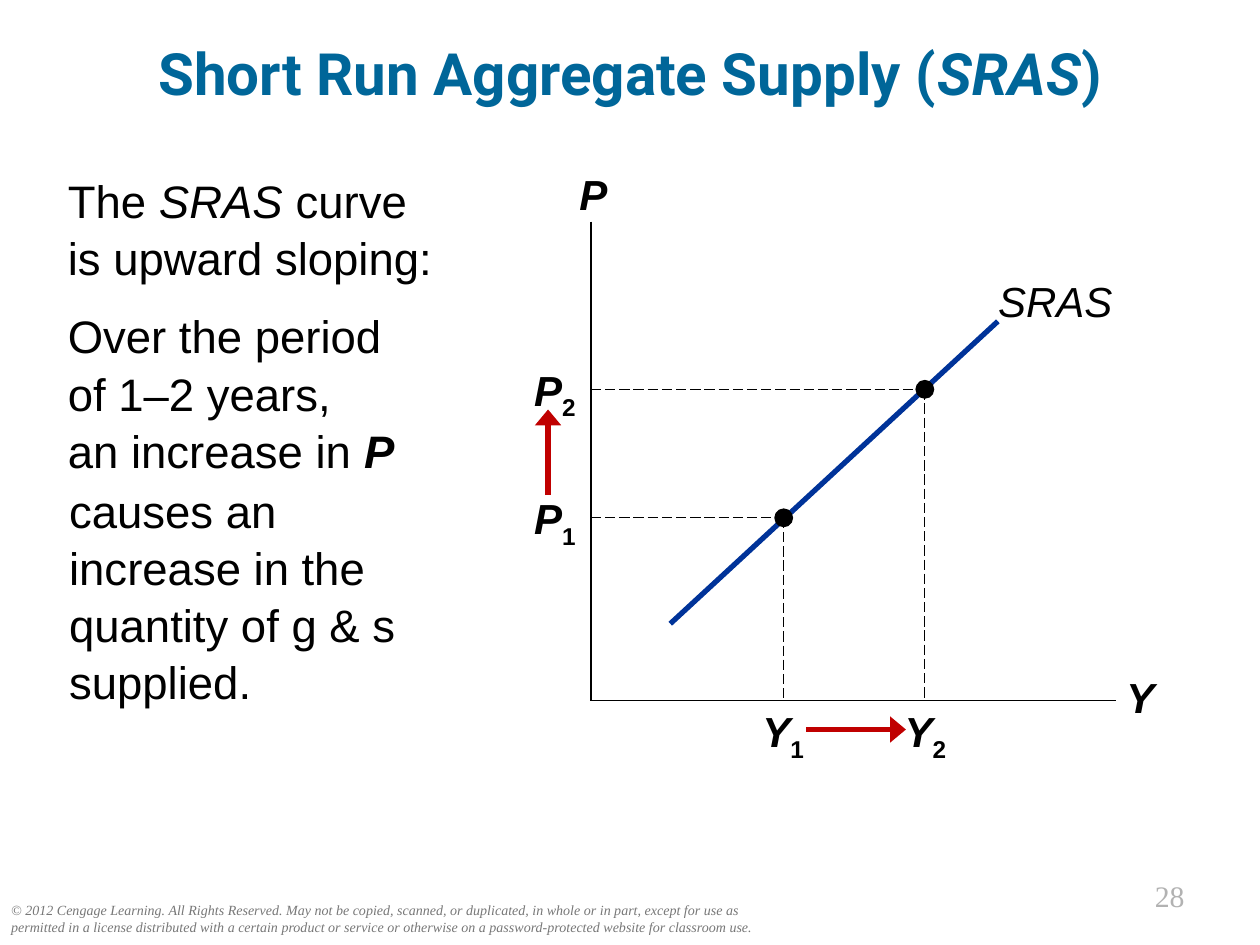
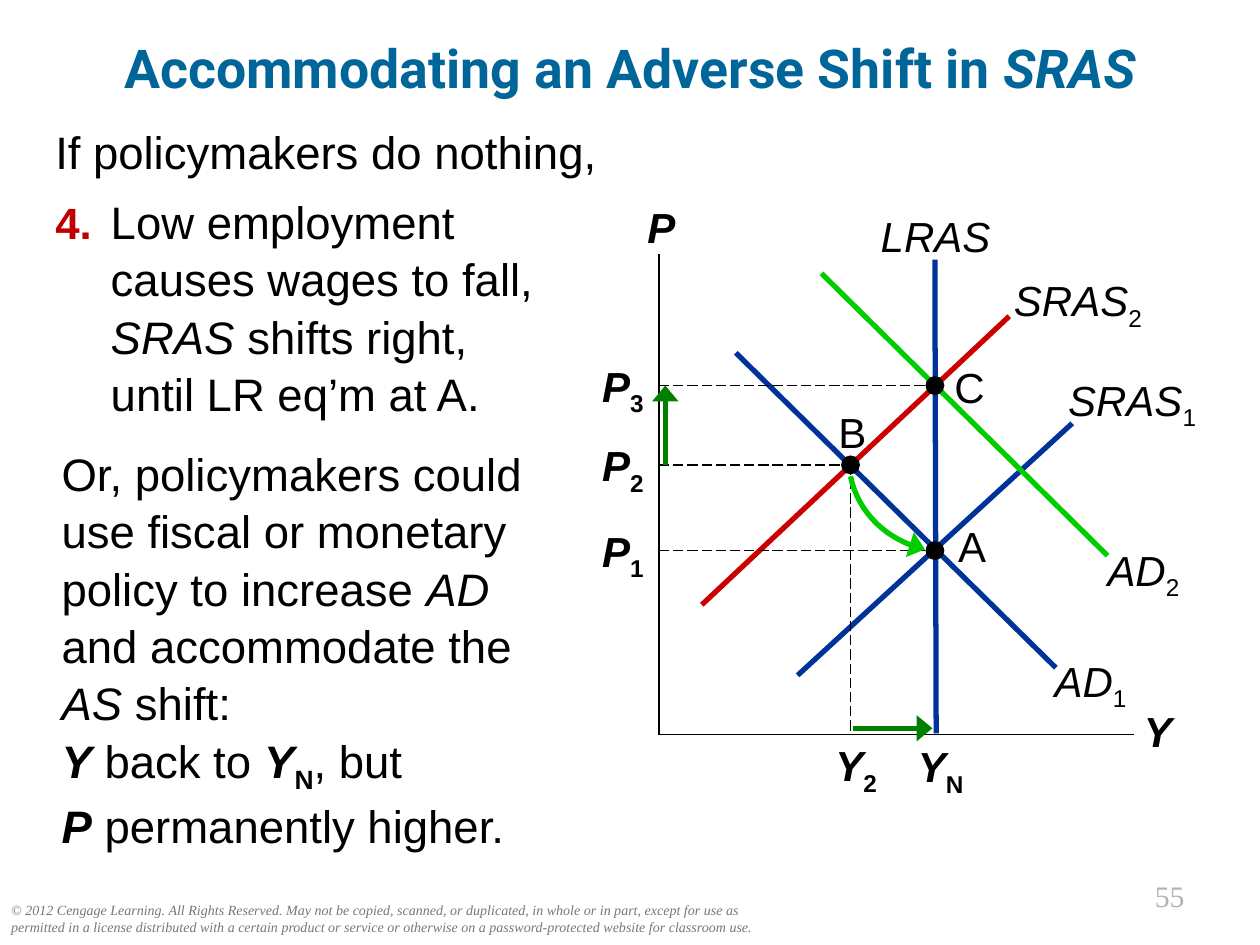
import lxml.etree
import pptx
import pptx.dml.color
import pptx.enum.dml
import pptx.enum.shapes
import pptx.enum.text
import pptx.oxml.ns
import pptx.util

Inches = pptx.util.Inches
RGBColor = pptx.dml.color.RGBColor
ALIGN = pptx.enum.text.PP_ALIGN

BLACK = RGBColor(0x00, 0x00, 0x00)
TEAL = RGBColor(0x00, 0x66, 0x99)
BLUE = RGBColor(0x00, 0x33, 0x99)
RED = RGBColor(0xCC, 0x00, 0x00)
DARK_RED = RGBColor(0xC0, 0x00, 0x00)
GREEN = RGBColor(0x00, 0xCC, 0x00)
DARK_GREEN = RGBColor(0x00, 0x80, 0x00)
FOOTER_GRAY = RGBColor(0x77, 0x77, 0x77)
NUMBER_GRAY = RGBColor(0xB2, 0xB2, 0xB2)

COPYRIGHT = (
    "© 2012 Cengage Learning. All Rights Reserved. May not be copied, scanned, or "
    "duplicated, in whole or in part, except for use as permitted in a license "
    "distributed with a certain product or service or otherwise on a "
    "password-protected website for classroom use."
)
LABEL = dict(size=24, align=ALIGN.CENTER)
TIGHT_LABEL = dict(LABEL, inset=0)
DOT = 0.15

# Span styles: b bold, i italic, s subscript, n red list number
SLIDES = [
    dict(
        number="28", title_top=0.22, title_size=33.3,
        title=[("Short Run Aggregate Supply (", "b"), ("SRAS", "bi"), (")", "b")],
        texts=[
            dict(at=(0.44, 1.3, 3.17, 2.7), space=12, paragraphs=[
                [("The ", ""), ("SRAS", "i"), (" curve\nis upward sloping:", "")],
                [("Over the period\nof 1–2 years,\nan increase in ", ""), ("P", "bi")],
            ]),
            dict(at=(0.45, 3.76, 2.98, 1.86), paragraphs=[
                [("causes an increase in the quantity of g & s supplied.", "")],
            ]),
        ],
        # axes: left, top, right, bottom
        axes=(4.69, 1.76, 8.86, 5.56),
        # curves: ends, colour, label, label box
        curves=[((5.32, 4.95, 7.92, 2.55), BLUE, [("SRAS", "i")], (7.73, 2.14, 1.29, 0.5))],
        # points: x, y, price index, output index, output label left, letter, letter place
        points=[
            (6.22, 4.11, "1", "1", 5.95, None, None),
            (7.34, 3.09, "2", "2", 7.08, None, None),
        ],
        arrows=[((4.35, 3.93, 4.35, 3.25), DARK_RED), ((6.4, 5.79, 7.19, 5.79), DARK_RED)],
    ),
    dict(
        number="55", title_top=0.18, title_size=30.6,
        title=[("Accommodating an Adverse Shift in ", "b"), ("SRAS", "bi")],
        texts=[
            dict(at=(0.34, 0.91, 4.61, 2.6), space=7.5, hang=0.44, paragraphs=[
                [("If policymakers do nothing,", "")],
                [("4.\t", "bn"), ("Low employment\ncauses wages to fall, ", ""),
                 ("SRAS", "i"), (" shifts right,\nuntil LR eq’m at A.", "")],
            ]),
            dict(at=(0.39, 3.47, 3.88, 3.3), paragraphs=[
                [("Or, policymakers could use fiscal or monetary policy to increase ", ""),
                 ("AD", "i"), (" and accommodate the ", ""), ("AS", "i"), (" shift:", "")],
                [("Y", "bi"), (" back to ", ""), ("Y", "bi"), ("N", "bs"), (", but\n", ""),
                 ("P", "bi"), (" permanently higher.", "")],
            ]),
        ],
        axes=(5.23, 2.02, 9, 5.83),
        curves=[
            ((7.42, 2.06, 7.43, 5.82), BLUE, [("LRAS", "i")], (6.78, 1.62, 1.29, 0.5)),
            ((5.84, 2.8, 8.38, 5.3), BLUE, [("AD", "i"), ("1", "s")], (8.25, 5.15, 0.81, 0.5)),
            ((6.33, 5.36, 8.51, 3.36), BLUE, [("SRAS", "i"), ("1", "s")], (8.34, 2.92, 1.29, 0.5)),
            ((5.57, 4.8, 8.01, 2.51), RED, [("SRAS", "i"), ("2", "s")], (7.91, 2.13, 1.29, 0.5)),
            ((6.52, 2.17, 8.79, 4.41), GREEN, [("AD", "i"), ("2", "s")], (8.67, 4.27, 0.81, 0.5)),
        ],
        points=[
            (7.42, 4.37, "1", None, None, "A", (7.54, 4.13)),
            (6.75, 3.69, "2", "2", 6.53, "B", (6.59, 3.23)),
            (7.42, 3.06, "3", None, None, "C", (7.52, 2.87)),
        ],
        arrows=[((6.77, 5.78, 7.4, 5.78), DARK_GREEN), ((5.28, 3.69, 5.28, 3.06), DARK_GREEN)],
    ),
]


def add_text(page, at, paragraphs, size, color=BLACK, font="Arial", align=ALIGN.LEFT,
             inset=None, spacing=None, space=0, hang=0):
    box = page.shapes.add_textbox(*map(Inches, at))
    frame = box.text_frame
    frame.word_wrap = True
    if inset is not None:
        frame.margin_left = frame.margin_right = Inches(inset)
        frame.margin_top = frame.margin_bottom = Inches(inset)
    for index, spans in enumerate(paragraphs):
        para = frame.paragraphs[0] if index == 0 else frame.add_paragraph()
        para.alignment = align
        if spacing:
            para.line_spacing = spacing
        if index and space:
            para.space_before = pptx.util.Pt(space)
        if hang:
            properties = para._p.get_or_add_pPr()
            properties.set("marL", str(Inches(hang)))
            properties.set("indent", str(-Inches(hang)))
        para.font.name = font
        para.font.size = pptx.util.Pt(size)
        para.font.color.rgb = color
        for text, style in spans:
            for part_index, part in enumerate(text.split("\n")):
                if part_index:
                    para.add_line_break()
                if not part:
                    continue
                span = para.add_run()
                span.text = part
                span.font.bold = "b" in style
                span.font.italic = "i" in style
                if "s" in style:
                    span._r.get_or_add_rPr().set("baseline", "-25000")
                if "n" in style:
                    span.font.size = pptx.util.Pt(25)
                    span.font.color.rgb = DARK_RED
    return box


def add_line(page, ends, color, width, dashed=False, arrow=False):
    line = page.shapes.add_connector(
        pptx.enum.shapes.MSO_CONNECTOR.STRAIGHT, *map(Inches, ends))
    line.line.color.rgb = color
    line.line.width = pptx.util.Pt(width)
    if dashed:
        line.line.dash_style = pptx.enum.dml.MSO_LINE.LONG_DASH
    if arrow:
        lxml.etree.SubElement(line.line._ln, pptx.oxml.ns.qn("a:tailEnd"),
                              type="triangle", w="lg", len="med")
    lxml.etree.SubElement(line._element.spPr, pptx.oxml.ns.qn("a:effectLst"))


deck = pptx.Presentation()
deck.slide_width = Inches(10)
deck.slide_height = Inches(7.5)

for content in SLIDES:
    page = deck.slides.add_slide(deck.slide_layouts[6])

    # Footer, page number and title
    add_text(page, (-0.01, 7.11, 6.18, 0.37), [[(COPYRIGHT, "i")]], 8,
             FOOTER_GRAY, "Times New Roman")
    add_text(page, (8.25, 6.92, 1.25, 0.39), [[(content["number"], "")]], 17,
             NUMBER_GRAY, "Times New Roman", ALIGN.RIGHT)
    title = add_text(page, (0, content["title_top"], 10, 0.71), [content["title"]],
                     content["title_size"], TEAL, "Roboto", ALIGN.CENTER)
    title.text_frame.vertical_anchor = pptx.enum.text.MSO_ANCHOR.MIDDLE

    # Explanation
    for text in content["texts"]:
        add_text(page, size=26, spacing=1.05, **text)

    # Axes
    left, top, right, bottom = content["axes"]
    add_line(page, (left, top, left, bottom), BLACK, 1)
    add_line(page, (left, bottom, right, bottom), BLACK, 1)
    add_text(page, (left - 0.21, top - 0.47, 0.46, 0.5), [[("P", "bi")]], **LABEL)
    add_text(page, (right - 0.05, bottom - 0.28, 0.48, 0.5), [[("Y", "bi")]], **LABEL)

    # Curves
    for ends, color, label, label_at in content["curves"]:
        add_line(page, ends, color, 3)
        add_text(page, label_at, [label], **LABEL)

    # Equilibrium points with their guides and labels
    for x, y, price, output, output_left, letter, letter_at in content["points"]:
        add_line(page, (left, y, x, y), BLACK, 0.75, dashed=True)
        add_text(page, (left - 0.55, y - 0.2, 0.53, 0.4),
                 [[("P", "bi"), (price, "bs")]], **TIGHT_LABEL)
        if output:
            add_line(page, (x, y, x, bottom), BLACK, 0.75, dashed=True)
            add_text(page, (output_left, bottom + 0.04, 0.53, 0.4),
                     [[("Y", "bi"), (output, "bs")]], **TIGHT_LABEL)
        if letter:
            add_text(page, (*letter_at, 0.35, 0.4), [[(letter, "")]], **TIGHT_LABEL)
        dot = page.shapes.add_shape(
            pptx.enum.shapes.MSO_SHAPE.OVAL,
            *map(Inches, (x - DOT / 2, y - DOT / 2, DOT, DOT)))
        dot.shadow.inherit = False
        dot.fill.solid()
        dot.fill.fore_color.rgb = BLACK
        dot.line.fill.background()

    # Arrows for the changes in price and output
    for ends, color in content["arrows"]:
        add_line(page, ends, color, 3, arrow=True)

# Natural output label on the second slide
add_text(page, (6.82, 5.83, 1.29, 0.5), [[("Y", "bi"), ("N", "bs")]], **LABEL)

# Curved arrow from B to A, traced along a cubic curve
BEND = [(6.75, 3.78), (6.81, 4.07), (7.04, 4.29), (7.34, 4.36)]
STEPS = 16
trace = []
for step in range(STEPS + 1):
    t = step / STEPS
    weights = ((1 - t) ** 3, 3 * t * (1 - t) ** 2, 3 * t ** 2 * (1 - t), t ** 3)
    trace.append(tuple(
        Inches(sum(weight * point[axis] for weight, point in zip(weights, BEND)))
        for axis in (0, 1)))
builder = page.shapes.build_freeform(*trace[0])
builder.add_line_segments(trace[1:], close=False)
bend = builder.convert_to_shape()
bend.shadow.inherit = False
bend.fill.background()
bend.line.color.rgb = GREEN
bend.line.width = pptx.util.Pt(3)
lxml.etree.SubElement(bend.line._ln, pptx.oxml.ns.qn("a:tailEnd"),
                      type="triangle", w="lg", len="med")

deck.save("out.pptx")
